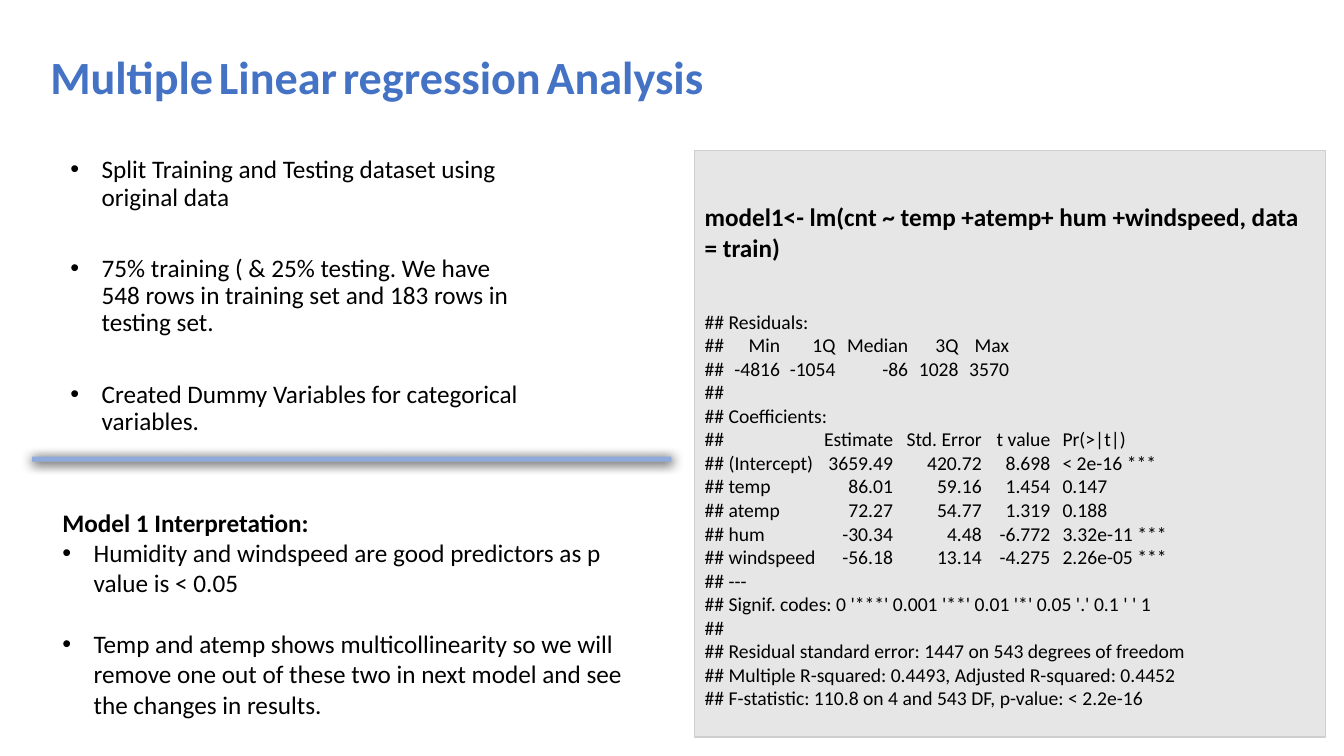
import dataclasses

import pptx
import pptx.dml.color
import pptx.enum.shapes
import pptx.enum.text
import pptx.oxml
import pptx.oxml.ns
import pptx.util

Inches = pptx.util.Inches
Pt = pptx.util.Pt


@dataclasses.dataclass(frozen=True)
class Theme:
    font: str = "Calibri"
    title_color: str = "4472C4"
    text_color: str = "000000"
    panel_fill: str = "E7E6E6"
    panel_line: str = "D0CECE"
    divider_fill: str = "8FAADC"
    title_size: int = 33
    body_size: int = 18
    output_size: int = 14


THEME = Theme()
BULLET_INDENT = 0.31

DATA_STEPS = [
    "Split Training and Testing dataset using original data",
    "75% training ( & 25% testing. We have 548 rows in training set and 183 rows in testing set.",
    "Created Dummy Variables for categorical variables.",
]
FINDINGS = [
    "Humidity and windspeed are good predictors as p value is < 0.05",
    "Temp and atemp shows multicollinearity so we will remove one out of these two "
    "in next model and see the changes in results.",
]
MODEL_CALL = "model1<- lm(cnt ~ temp +atemp+ hum +windspeed, data = train)"

# Tab stops: distance from the text edge in inches, and alignment
RESIDUAL_TABS = [(0.75, "r"), (1.3, "r"), (2.02, "r"), (2.52, "r"), (3.02, "r")]
COEFFICIENT_TABS = [(1.87, "r"), (2.75, "r"), (3.43, "r"), (3.55, "l")]
MODEL_OUTPUT = [
    ([], ["## Residuals:"]),
    (RESIDUAL_TABS, [
        "##\tMin\t1Q\tMedian\t3Q\tMax",
        "##\t-4816\t-1054\t-86\t1028\t3570",
    ]),
    ([], ["##", "## Coefficients:"]),
    (COEFFICIENT_TABS, [
        "##\tEstimate\tStd. Error\tt value\tPr(>|t|)",
        "## (Intercept)\t3659.49\t420.72\t8.698\t< 2e-16 ***",
        "## temp\t86.01\t59.16\t1.454\t0.147",
        "## atemp\t72.27\t54.77\t1.319\t0.188",
        "## hum\t-30.34\t4.48\t-6.772\t3.32e-11 ***",
        "## windspeed\t-56.18\t13.14\t-4.275\t2.26e-05 ***",
    ]),
    ([], [
        "## ---",
        "## Signif. codes: 0 '***' 0.001 '**' 0.01 '*' 0.05 '.' 0.1 ' ' 1",
        "##",
        "## Residual standard error: 1447 on 543 degrees of freedom",
        "## Multiple R-squared: 0.4493, Adjusted R-squared: 0.4452",
        "## F-statistic: 110.8 on 4 and 543 DF, p-value: < 2.2e-16",
    ]),
]


def rgb(color):
    return pptx.dml.color.RGBColor.from_string(color)


def append_xml(parent, tag, **attributes):
    child = pptx.oxml.parse_xml(f"<{tag} {pptx.oxml.ns.nsdecls('a')}/>")
    for name, value in attributes.items():
        child.set(name, str(value))
    parent.append(child)
    return child


def add_span(para, text, size=THEME.body_size, bold=False, color=THEME.text_color):
    span = para.add_run()
    span.text = text
    font_format = {"name": THEME.font, "size": Pt(size), "bold": bold}
    for name, value in font_format.items():
        setattr(span.font, name, value)
    span.font.color.rgb = rgb(color)


def add_para(frame, **para_format):
    """Use the frame's empty first paragraph, or add one, and format it."""
    first = frame.paragraphs[0]
    para = frame.add_paragraph() if first.runs else first
    para.alignment = pptx.enum.text.PP_ALIGN.LEFT
    for name, value in para_format.items():
        setattr(para, name, value)
    return para


def add_bullets(frame, texts, gap, **para_format):
    for text in texts:
        last = text == texts[-1]
        para = add_para(frame, space_after=Pt(0 if last else gap), **para_format)
        add_span(para, text)
        properties = para._p.get_or_add_pPr()
        properties.set("marL", str(Inches(BULLET_INDENT)))
        properties.set("indent", str(-Inches(BULLET_INDENT)))
        append_xml(properties, "a:buFont", typeface="Arial")
        append_xml(properties, "a:buChar", char="•")


def add_text_frame(page, box):
    frame = page.shapes.add_textbox(*map(Inches, box)).text_frame
    frame.word_wrap = True
    return frame


def add_rectangle(page, box, fill):
    shape = page.shapes.add_shape(
        pptx.enum.shapes.MSO_SHAPE.RECTANGLE, *map(Inches, box))
    shape.shadow.inherit = False
    shape.fill.solid()
    shape.fill.fore_color.rgb = rgb(fill)
    return shape


def add_title(page, box, words):
    """Set the title words with smaller spaces between them."""
    para = add_para(add_text_frame(page, box))
    for index, word in enumerate(words):
        if index:
            add_span(para, " ")
        add_span(para, word, THEME.title_size, True, THEME.title_color)


def add_data_steps(page, box):
    add_bullets(add_text_frame(page, box), DATA_STEPS, gap=31.5, line_spacing=0.9)


def add_interpretation(page, box):
    frame = add_text_frame(page, box)
    add_span(add_para(frame), "Model 1 Interpretation:", bold=True)
    add_bullets(frame, FINDINGS, gap=22)


def add_model_panel(page, box):
    panel = add_rectangle(page, box, THEME.panel_fill)
    panel.line.color.rgb = rgb(THEME.panel_line)
    panel.line.width = Pt(1)
    frame = panel.text_frame
    frame.word_wrap = True
    frame.vertical_anchor = pptx.enum.text.MSO_ANCHOR.TOP
    frame.margin_top = Inches(0.51)
    add_span(add_para(frame, space_after=Pt(34)), MODEL_CALL, bold=True)
    for tabs, lines in MODEL_OUTPUT:
        for line in lines:
            para = add_para(frame)
            add_span(para, line, THEME.output_size)
            if tabs:
                tab_list = append_xml(para._p.get_or_add_pPr(), "a:tabLst")
                for position, alignment in tabs:
                    append_xml(tab_list, "a:tab", pos=Inches(position), algn=alignment)


def add_divider(page, box):
    divider = add_rectangle(page, box, THEME.divider_fill)
    divider.line.fill.background()
    effects = divider._element.spPr.find(pptx.oxml.ns.qn("a:effectLst"))
    shadow = append_xml(effects, "a:outerShdw", blurRad=Pt(8.5), dist=Pt(1),
                        dir=90 * 60000, algn="ctr", rotWithShape=0)
    append_xml(shadow, "a:srgbClr", val=THEME.text_color)


def main():
    deck = pptx.Presentation()
    deck.slide_width, deck.slide_height = Inches(13.33), Inches(7.5)
    page = deck.slides.add_slide(deck.slide_layouts[6])
    add_title(page, (0.4, 0.43, 10.85, 0.66),
              ["Multiple", "Linear", "regression", "Analysis"])
    add_data_steps(page, (0.6, 1.51, 4.69, 2.89))
    add_model_panel(page, (6.89, 1.49, 6.26, 5.82))
    add_interpretation(page, (0.52, 4.98, 5.79, 2.22))
    add_divider(page, (0.32, 4.53, 6.34, 0.05))
    deck.save("out.pptx")


if __name__ == "__main__":
    main()
